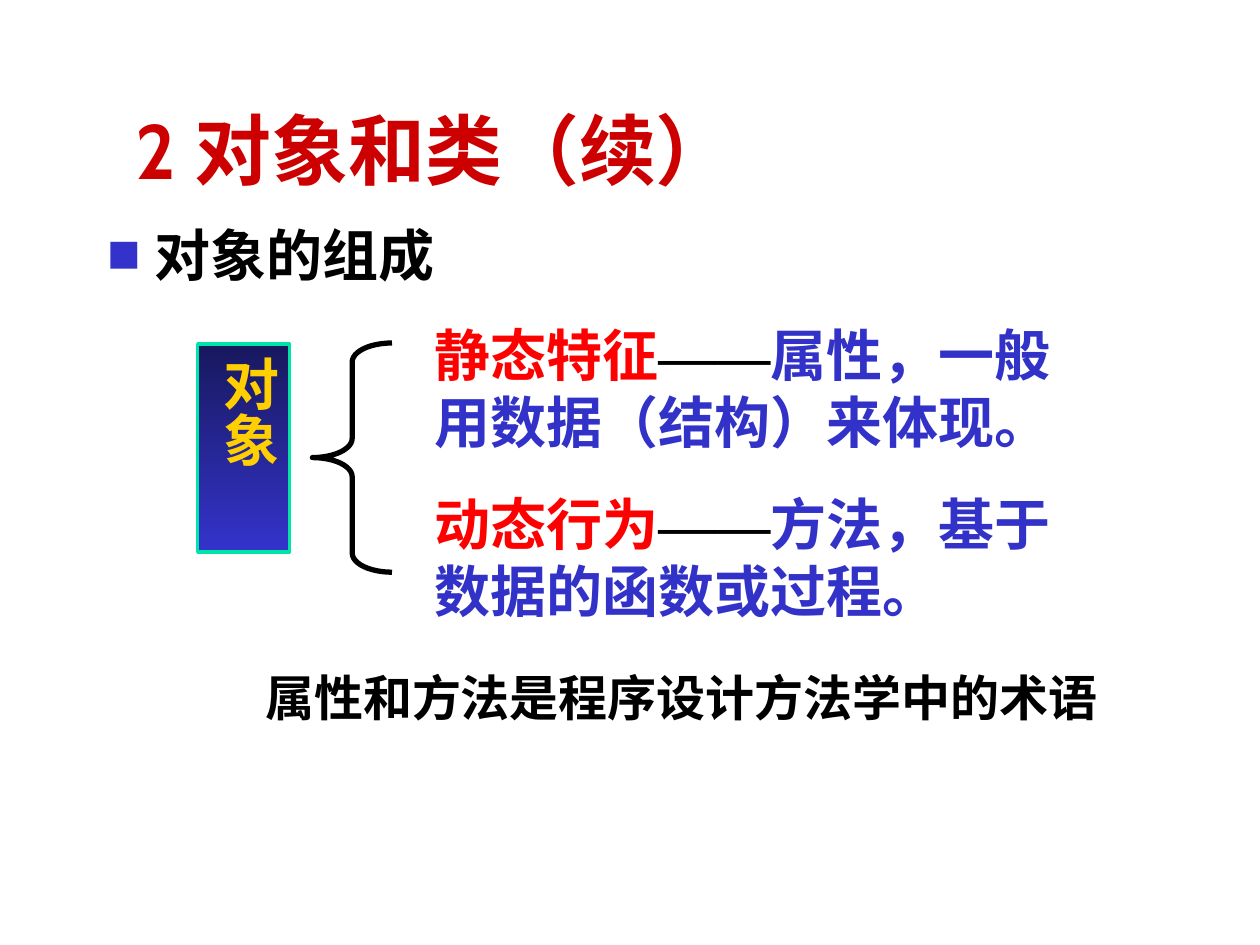
from lxml.etree import SubElement
from pptx import Presentation
from pptx.dml.color import RGBColor
from pptx.enum.shapes import MSO_SHAPE
from pptx.enum.text import MSO_ANCHOR, PP_ALIGN
from pptx.oxml.ns import qn
from pptx.util import Pt

COLORS = {"title": "CC0000", "text": "000000", "bullet": "3333CC", "key": "FF0000",
          "detail": "3232C8", "object": "FFCF01", "border": "00E4A8",
          "top": "18185E", "bottom": "3333CC"}
LATIN, CJK, SERIF = "Cabin", "Noto Sans CJK SC", "Times New Roman"

TITLE = "2 对象和类（续）"
TOPIC = "对象的组成"
OBJECT = "对象"
PARTS = [("静态特征", "属性，一般用数据（结构）来体现。"),
         ("动态行为", "方法，基于数据的函数或过程。")]
NOTE = "属性和方法是程序设计方法学中的术语"

# left, top, width, height
BOXES = {"title": (70.5, 43, 613.5, 72), "topic": (54, 122.5, 651, 67.5),
         "object": (113, 196.5, 52.5, 119), "brace": (178.5, 196, 45.5, 131),
         "parts": (241, 179.5, 386, 181), "note": (144.5, 378, 533, 41)}


def color(name):
    return RGBColor.from_string(COLORS[name])


def box(name):
    return [Pt(length) for length in BOXES[name]]


def place(shape, name):
    for attribute, length in zip(("left", "top", "width", "height"), box(name)):
        setattr(shape, attribute, length)


def add_run(paragraph, text, size, color_name, latin=LATIN, east_asian=CJK):
    run = paragraph.add_run()
    run.text = text
    for attribute, value in {"size": Pt(size), "bold": True, "name": latin}.items():
        setattr(run.font, attribute, value)
    run.font.color.rgb = color(color_name)
    SubElement(run.font._element, qn("a:ea"), typeface=east_asian)


def add_bullet(paragraph):
    properties = paragraph._p.get_or_add_pPr()
    properties.set("marL", str(Pt(27)))
    properties.set("indent", str(Pt(-27)))
    bullet_color = SubElement(properties, qn("a:buClr"))
    SubElement(bullet_color, qn("a:srgbClr"), val=COLORS["bullet"])
    SubElement(properties, qn("a:buSzPct"), val="60000")
    SubElement(properties, qn("a:buFont"), typeface=CJK)
    SubElement(properties, qn("a:buChar"), char="■")


def add_text_frame(slide, name):
    frame = slide.shapes.add_textbox(*box(name)).text_frame
    frame.word_wrap = True
    return frame


def add_headings(slide):
    title, topic = slide.shapes.title, slide.placeholders[1]
    place(title, "title")
    place(topic, "topic")
    title.text_frame.vertical_anchor = MSO_ANCHOR.BOTTOM
    paragraph = title.text_frame.paragraphs[0]
    paragraph.alignment = PP_ALIGN.LEFT
    add_run(paragraph, TITLE, 44, "title")
    paragraph = topic.text_frame.paragraphs[0]
    paragraph.space_before = Pt(0)
    add_bullet(paragraph)
    add_run(paragraph, TOPIC, 32, "text")


def add_object(slide):
    shape = slide.shapes.add_shape(MSO_SHAPE.RECTANGLE, *box("object"))
    shape.shadow.inherit = False
    shape.fill.gradient()
    shape.fill.gradient_angle = 270
    for stop, name, position in zip(shape.fill.gradient_stops, ("top", "bottom"), (0, 1)):
        stop.color.rgb = color(name)
        stop.position = position
    shape.line.color.rgb = color("border")
    shape.line.width = Pt(2)
    frame = shape.text_frame
    margins = {"margin_left": 3.6, "margin_right": 3.6, "margin_top": 7.2, "margin_bottom": 7.2}
    for attribute, value in margins.items():
        setattr(frame, attribute, Pt(value))
    frame.vertical_anchor = MSO_ANCHOR.TOP
    frame._txBody.bodyPr.set("vert", "eaVert")
    paragraph = frame.paragraphs[0]
    paragraph.alignment = PP_ALIGN.CENTER
    add_run(paragraph, OBJECT, 32, "object", SERIF)


def add_brace(slide):
    brace = slide.shapes.add_shape(MSO_SHAPE.LEFT_BRACE, *box("brace"))
    brace.shadow.inherit = False
    brace.adjustments[0] = 0.24
    brace.fill.background()
    brace.line.color.rgb = color("text")
    brace.line.width = Pt(3)


def add_parts(slide):
    frame = add_text_frame(slide, "parts")
    for index, (key, detail) in enumerate(PARTS):
        paragraph = frame.add_paragraph() if index else frame.paragraphs[0]
        paragraph.space_before = Pt(20 if index else 0)
        add_run(paragraph, key, 32, "key", CJK)
        add_run(paragraph, "——", 32, "text", SERIF, SERIF)
        add_run(paragraph, detail, 32, "detail", CJK)


def main():
    presentation = Presentation()
    presentation.slide_width, presentation.slide_height = Pt(720), Pt(540)
    slide = presentation.slides.add_slide(presentation.slide_layouts[1])
    add_headings(slide)
    add_object(slide)
    add_brace(slide)
    add_parts(slide)
    add_run(add_text_frame(slide, "note").paragraphs[0], NOTE, 28, "text")
    presentation.save("out.pptx")


if __name__ == "__main__":
    main()
